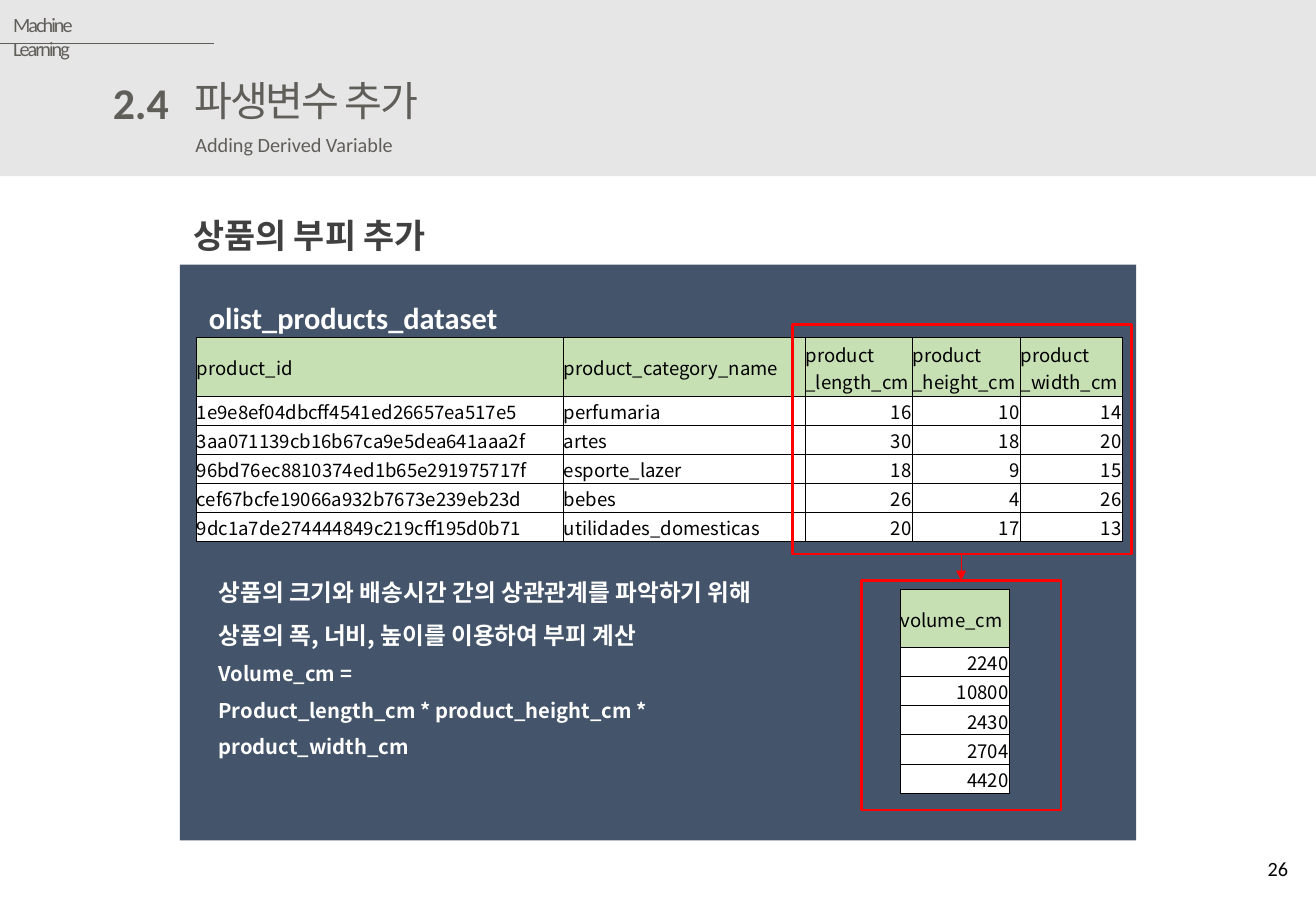
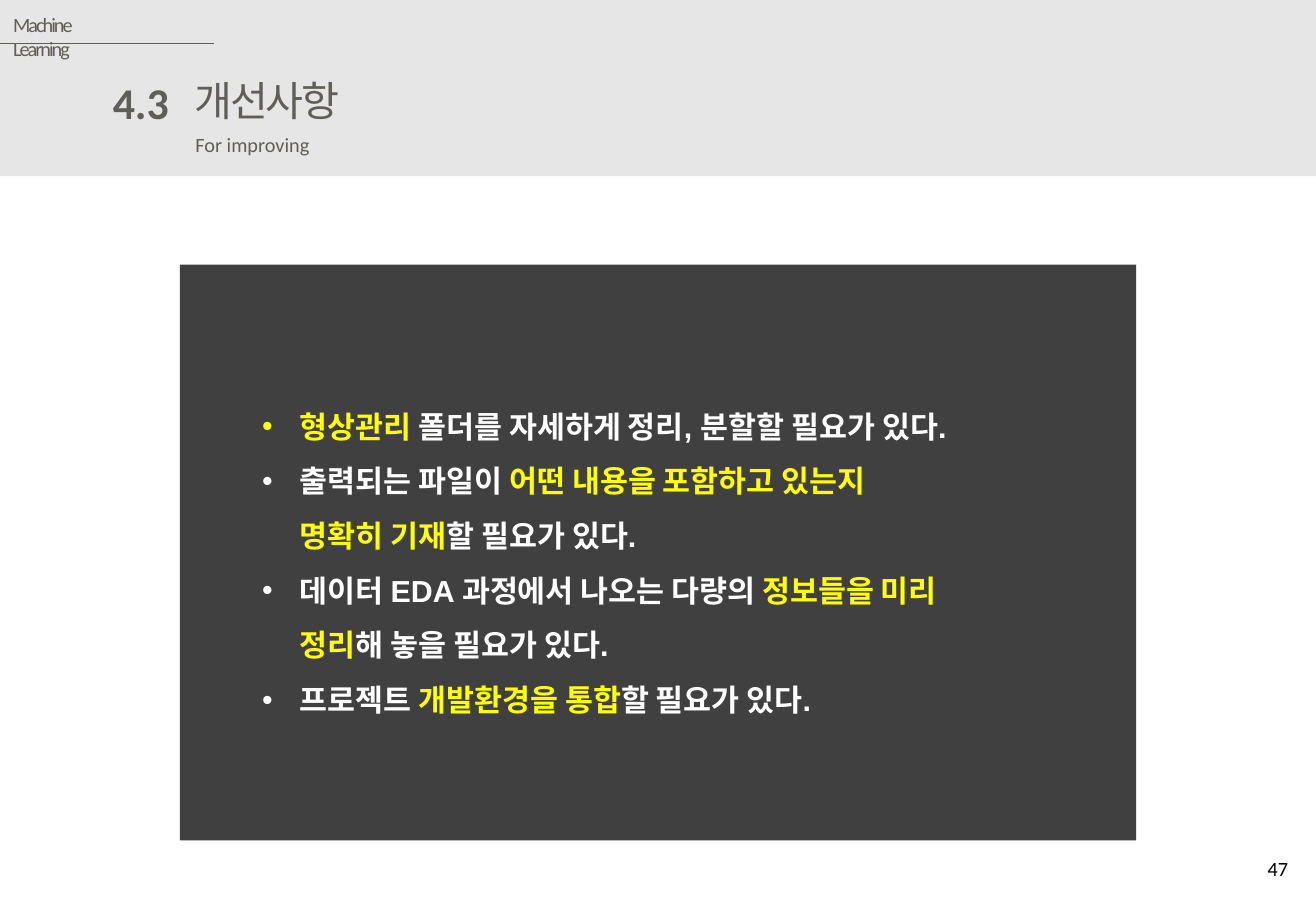
from lxml import etree
from pptx import Presentation
from pptx.dml.color import RGBColor
from pptx.enum import shapes, text
from pptx.oxml.ns import qn
from pptx.util import Emu, Pt

PX = 9144  # 100 px to the inch
WIDTH, HEIGHT = 1083, 750
PANEL = (148, 218, 787, 474)
KOREAN = "Noto Sans CJK KR"
COLORS = {
    "band": "E7E6E6", "title": "5F5E58", "navy": "44546A", "charcoal": "404040",
    "header": "C6E0B4", "white": "FFFFFF", "black": "000000",
    "red": "FF0000", "yellow": "FFFF00",
}


def px(length):
    return Emu(length * PX)


def rgb(name):
    return RGBColor.from_string(COLORS[name])


def child(parent, tag, **attributes):
    return etree.SubElement(parent, qn(tag), attributes)


class Deck:
    """Holds the shared style and the slide being built."""

    def __init__(self):
        self.presentation = Presentation()
        self.presentation.slide_width = px(WIDTH)
        self.presentation.slide_height = px(HEIGHT)
        self.slide = None

    def new_slide(self, number, title, subtitle, page, panel_color):
        """Add a slide with its title band, panel and page number."""
        layout = self.presentation.slide_layouts[6]
        self.slide = self.presentation.slides.add_slide(layout)
        self.box((0, -1, WIDTH, 146), fill="band")
        self.line((-1, 36), (176, 36), "title")
        self.text((1, 5, 115, 30), ["Machine Learning"], color="title",
                  spacing=-120, right_inset=45)
        self.text((82, 57, 67, 54), [number], size=26, color="title", bold=True,
                  align=text.PP_ALIGN.RIGHT, wrap=False)
        self.text((150, 56, 225, 51), [title], size=24.4, font="Arial",
                  color="title", spacing=-120, line_height=30)
        self.text((151, 104, 184, 30), [subtitle], color="title")
        self.box(PANEL, fill=panel_color)
        self.text((826, 695, 244, 40), [page], align=text.PP_ALIGN.RIGHT,
                  anchor=text.MSO_ANCHOR.MIDDLE)

    def box(self, area, fill=None, line=None):
        shape = self.slide.shapes.add_shape(
            shapes.MSO_SHAPE.RECTANGLE, *map(px, area))
        shape.shadow.inherit = False
        if fill:
            shape.fill.solid()
            shape.fill.fore_color.rgb = rgb(fill)
        else:
            shape.fill.background()
        if line:
            shape.line.color.rgb = rgb(line)
            shape.line.width = Pt(1.5)
        else:
            shape.line.fill.background()

    def line(self, start, end, color, arrow=False):
        connector = self.slide.shapes.add_connector(
            shapes.MSO_CONNECTOR.STRAIGHT, *map(px, start + end))
        connector.line.color.rgb = rgb(color)
        connector.line.width = Pt(0.5)
        if arrow:
            child(connector.line._get_or_add_ln(), "a:tailEnd", type="triangle")
        child(connector._element.spPr, "a:effectLst")

    def style(self, paragraph, size, color, font="Calibri", bold=False, spacing=0):
        paragraph.font.size = Pt(size)
        paragraph.font.bold = bold
        paragraph.font.color.rgb = rgb(color)
        paragraph.font.name = font
        properties = paragraph._p.pPr.find(qn("a:defRPr"))
        child(properties, "a:ea", typeface=KOREAN)
        if spacing:
            properties.set("spc", str(spacing))

    def text(self, area, paragraphs, size=12, color="black", font="Calibri",
             bold=False, spacing=0, align=text.PP_ALIGN.LEFT,
             anchor=text.MSO_ANCHOR.TOP, wrap=True, right_inset=10,
             line_height=None, bullet=False):
        """Each paragraph is a string, a (string, size, line height) tuple
        or a list of (string, colour) runs."""
        frame = self.slide.shapes.add_textbox(*map(px, area)).text_frame
        frame.word_wrap = wrap
        frame.vertical_anchor = anchor
        frame.margin_right = px(right_inset)
        for index, content in enumerate(paragraphs):
            paragraph = frame.add_paragraph() if index else frame.paragraphs[0]
            paragraph.alignment = align
            own_size, own_height = size, line_height
            if isinstance(content, tuple):
                content, own_size, own_height = content
            if own_height:
                paragraph.line_spacing = Pt(own_height)
            if bullet:
                properties = paragraph._p.get_or_add_pPr()
                properties.set("marL", str(px(31)))
                properties.set("indent", str(px(-31)))
                child(properties, "a:buFont", typeface="Arial")
                child(properties, "a:buChar", char="•")
            self.style(paragraph, own_size, color, font, bold, spacing)
            if isinstance(content, str):
                paragraph.add_run().text = content
            else:
                self.runs(paragraph, content)

    def runs(self, paragraph, runs):
        for content, color in runs:
            for index, part in enumerate(content.split("\n")):
                if index:
                    paragraph.add_line_break()
                run = paragraph.add_run()
                run.text = part
                run.font.color.rgb = rgb(color)

    def table(self, left, top, widths, rows):
        heights = [48] + [24] * (len(rows) - 1)
        table = self.slide.shapes.add_table(
            len(rows), len(widths), px(left), px(top),
            px(sum(widths)), px(sum(heights))).table
        for column, width in zip(table.columns, widths):
            column.width = px(width)
        for row, height, values in zip(table.rows, heights, rows):
            row.height = px(height)
            for cell, value in zip(row.cells, values):
                self.cell(cell, value, "header" if values is rows[0] else "white")

    def cell(self, cell, value, fill):
        cell.margin_left = cell.margin_bottom = 0
        cell.margin_right = cell.margin_top = px(1)
        cell.vertical_anchor = text.MSO_ANCHOR.MIDDLE
        for side in ("a:lnL", "a:lnR", "a:lnT", "a:lnB"):
            border = child(cell._tc.get_or_add_tcPr(), side, w=str(Pt(0.5)))
            solid = child(border, "a:solidFill")
            child(solid, "a:srgbClr", val=COLORS["black"])
        cell.fill.solid()
        cell.fill.fore_color.rgb = rgb(fill)
        cell.text = str(value).replace("\n", "\v")
        paragraph = cell.text_frame.paragraphs[0]
        paragraph.alignment = (text.PP_ALIGN.RIGHT if isinstance(value, int)
                               else text.PP_ALIGN.LEFT)
        self.style(paragraph, 11, "black", KOREAN)


PRODUCTS = [
    ("1e9e8ef04dbcff4541ed26657ea517e5", "perfumaria", 16, 10, 14),
    ("3aa071139cb16b67ca9e5dea641aaa2f", "artes", 30, 18, 20),
    ("96bd76ec8810374ed1b65e291975717f", "esporte_lazer", 18, 9, 15),
    ("cef67bcfe19066a932b7673e239eb23d", "bebes", 26, 4, 26),
    ("9dc1a7de274444849c219cff195d0b71", "utilidades_domesticas", 20, 17, 13),
]
PRODUCT_HEADER = ("product_id", "product_category_name", "product\n_length_cm",
                  "product\n_height_cm", "product\n_width_cm")
VOLUME_NOTES = [
    ("상품의 크기와 배송시간 간의 상관관계를 파악하기 위해", 14, 25.5),
    ("상품의 폭, 너비, 높이를 이용하여 부피 계산", 14, 25.5),
    ("Volume_cm =", 12, 21.6),
    ("Product_length_cm * product_height_cm * product_width_cm", 12, 21.6),
]
IMPROVEMENTS = [
    [("형상관리", "yellow"), (" 폴더를 자세하게 정리, 분할할 필요가 있다.", "white")],
    [("출력되는 파일이 ", "white"),
     ("어떤 내용을 포함하고 있는지\n명확히 기재", "yellow"),
     ("할 필요가 있다.", "white")],
    [("데이터 EDA 과정에서 나오는 다량의 ", "white"),
     ("정보들을 미리\n정리", "yellow"), ("해 놓을 필요가 있다.", "white")],
    [("프로젝트 ", "white"), ("개발환경을 통합", "yellow"),
     ("할 필요가 있다.", "white")],
]


def derived_variable_slide(deck):
    deck.new_slide("2.4", "파생변수 추가", "Adding Derived Variable", "26", "navy")
    deck.table(162, 278, [302, 199, 88, 89, 84], [PRODUCT_HEADER] + PRODUCTS)
    volumes = [(length * height * width,)
               for _, _, length, height, width in PRODUCTS]
    deck.table(741, 485, [90], [("volume_cm",)] + volumes)
    deck.box((652, 267, 279, 189), line="red")
    deck.box((709, 478, 164, 189), line="red")
    deck.line((791, 456), (791, 478), "red", arrow=True)
    deck.text((170, 459, 520, 176), VOLUME_NOTES, color="white", font=KOREAN,
              bold=True)
    deck.text((162, 241, 543, 40), ["olist_products_dataset"], size=18,
              color="white", bold=True)
    deck.text((149, 155, 229, 55), ["상품의 부피 추가"], size=20,
              color="charcoal", bold=True, line_height=36)


def improvement_slide(deck):
    deck.new_slide("4.3", "개선사항", "For improving", "47", "charcoal")
    deck.text((206, 316, 673, 277), IMPROVEMENTS, size=18, color="white",
              font="Arial", bold=True, line_height=32.4, bullet=True)


def main():
    deck = Deck()
    derived_variable_slide(deck)
    improvement_slide(deck)
    deck.presentation.save("out.pptx")


if __name__ == "__main__":
    main()
